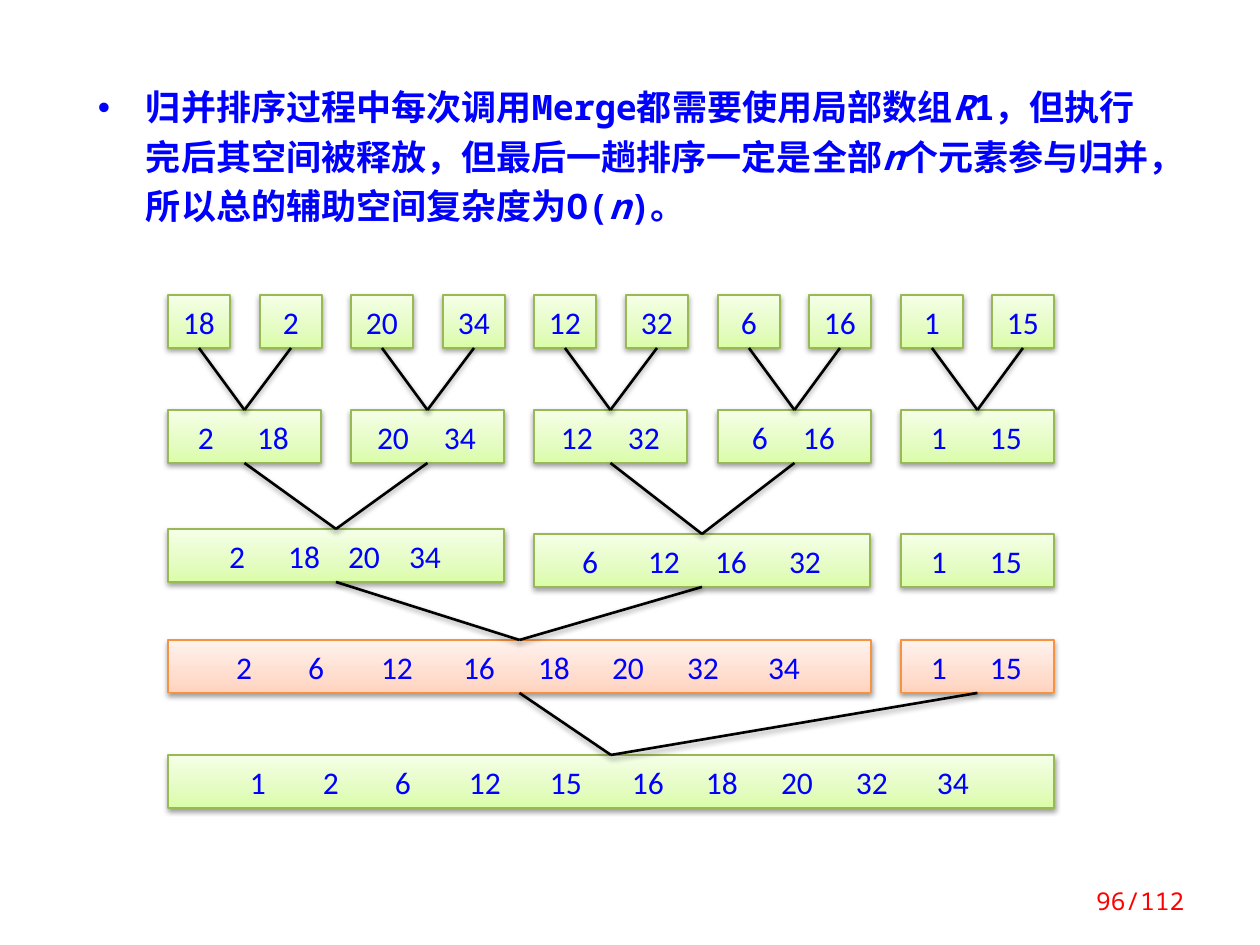
from copy import deepcopy

from lxml import etree
from pptx import Presentation
from pptx import util as u
from pptx.dml.color import RGBColor
from pptx.enum import shapes, text
from pptx.oxml import ns

PX = 914400 // 126
GREEN = (("DAFDA7", "E4FCC2", "F5FFE7"), "98B955")
ORANGE = (("FFD2BD", "FFDED0", "FFF2ED"), "F69240")
LEFT, PITCH, GAP, HEIGHT = 168, 91.6, 30, 53


def color(value):
    return RGBColor.from_string(value)


def add_shadow(properties):
    effects = properties.find(ns.qn("a:effectLst"))
    if effects is None:
        effects = etree.SubElement(properties, ns.qn("a:effectLst"))
    shadow = etree.SubElement(effects, ns.qn("a:outerShdw"), blurRad="40000", dist="20000",
                              dir="5400000", rotWithShape="0")
    black = etree.SubElement(shadow, ns.qn("a:srgbClr"), val="000000")
    etree.SubElement(black, ns.qn("a:alpha"), val="38000")


presentation = Presentation()
presentation.slide_width = 1260 * PX
presentation.slide_height = 945 * PX
slide = presentation.slides.add_slide(presentation.slide_layouts[6])

explanation = slide.shapes.add_textbox(78 * PX, 59 * PX, 1103 * PX, 184 * PX)
explanation.fill.solid()
explanation.fill.fore_color.rgb = color("FFFFFF")
frame = explanation.text_frame
frame.word_wrap = True
frame.auto_size = text.MSO_AUTO_SIZE.SHAPE_TO_FIT_TEXT
frame.margin_left = frame.margin_top = frame.margin_bottom = 20 * PX
paragraph = frame.paragraphs[0]
settings = paragraph._p.get_or_add_pPr()
settings.set("marL", str(48 * PX))
settings.set("indent", str(-48 * PX))
etree.SubElement(settings, ns.qn("a:buFont"), typeface="Arial")
etree.SubElement(settings, ns.qn("a:buChar"), char="•")
paragraph.line_spacing = u.Pt(28)
for wording, italic in [
    ("归并排序过程中每次调用Merge都需要使用局部数组", False),
    ("R", True),
    ("1，但执行完后其空间被释放，但最后一趟排序一定是全部", False),
    ("n", True),
    ("个元素参与归并，所以总的辅助空间复杂度为O(", False),
    ("n", True),
    (")。", False),
]:
    run = paragraph.add_run()
    run.text = wording
    run.font.name = "Noto Sans Mono"
    run.font.size = u.Pt(20)
    run.font.bold = True
    run.font.italic = italic
    run.font.color.rgb = color("0000FF")

values = [18, 2, 20, 34, 12, 32, 6, 16, 1, 15]
passes = [
    [(295, column, 1, [value], [], GREEN) for column, value in enumerate(values)],
    [
        (410, 0, 2, [2, 18], [206, 273], GREEN),
        (410, 2, 2, [20, 34], [393, 460], GREEN),
        (410, 4, 2, [12, 32], [577, 644], GREEN),
        (410, 6, 2, [6, 16], [760, 819], GREEN),
        (410, 8, 2, [1, 15], [939, 1006], GREEN),
    ],
    [
        (529, 0, 4, [2, 18, 20, 34], [237, 304, 364, 425], GREEN),
        (534, 4, 4, [6, 12, 16, 32], [590, 664, 731, 805], GREEN),
        (534, 8, 2, [1, 15], [939, 1006], GREEN),
    ],
    [
        (640, 0, 8, [2, 6, 12, 16, 18, 20, 32, 34],
         [244, 316, 397, 479, 554, 628, 703, 784], ORANGE),
        (640, 8, 2, [1, 15], [939, 1006], ORANGE),
    ],
    [
        (755, 0, 10, [1, 2, 6, 12, 15, 16, 18, 20, 32, 34],
         [258, 331, 403, 485, 566, 648, 722, 797, 872, 953], GREEN),
    ],
]

tree = slide.shapes.add_group_shape()
previous = {}
for merge_pass in passes:
    current = {}
    for top, column, span, numbers, centres, (gradient, outline) in merge_pass:
        left = round(LEFT + PITCH * column)
        width = round(PITCH * span - GAP)
        box = tree.shapes.add_shape(shapes.MSO_SHAPE.RECTANGLE, left * PX, top * PX,
                                    width * PX, HEIGHT * PX)
        current[column] = box
        box.fill.gradient()
        box.fill.gradient_angle = 90
        stops = box._element.spPr.find(ns.qn("a:gradFill")).find(ns.qn("a:gsLst"))
        stops.append(deepcopy(stops[-1]))
        for stop, position, shade in zip(box.fill.gradient_stops, (0, 0.35, 1), gradient):
            stop.position = position
            stop.color.rgb = color(shade)
        box.line.color.rgb = color(outline)
        box.line.width = u.Pt(0.75)
        box.shadow.inherit = False
        add_shadow(box._element.spPr)

        frame = box.text_frame
        frame.margin_left = frame.margin_right = 0
        frame.vertical_anchor = text.MSO_ANCHOR.MIDDLE
        paragraph = frame.paragraphs[0]
        if centres:
            paragraph.text = "".join(f"\t{number}" for number in numbers)
            paragraph.alignment = text.PP_ALIGN.LEFT
            tabs = etree.SubElement(paragraph._p.get_or_add_pPr(), ns.qn("a:tabLst"))
            for centre in centres:
                etree.SubElement(tabs, ns.qn("a:tab"), pos=str((centre - left) * PX), algn="ctr")
        else:
            paragraph.text = str(numbers[0])
            paragraph.alignment = text.PP_ALIGN.CENTER
        paragraph.line_spacing = u.Pt(22)
        font = paragraph.runs[0].font
        font.name = "Calibri"
        font.size = u.Pt(18)
        font.color.rgb = color("0000FF")

        sources = [previous[key] for key in previous if column <= key < column + span]
        if len(sources) > 1:
            for source in sources:
                connector = tree.shapes.add_connector(shapes.MSO_CONNECTOR.STRAIGHT, 0, 0, 0, 0)
                connector.begin_connect(source, 2)
                connector.end_connect(box, 0)
                connector.line.color.rgb = color("000000")
                connector.line.width = u.Pt(1.5)
                add_shadow(connector._element.spPr)
    previous = current

page_number = slide.shapes.add_textbox(1043 * PX, 876 * PX, 154 * PX, 50 * PX)
frame = page_number.text_frame
frame.word_wrap = True
frame.vertical_anchor = text.MSO_ANCHOR.MIDDLE
frame.text = "96/112"
paragraph = frame.paragraphs[0]
paragraph.alignment = text.PP_ALIGN.RIGHT
font = paragraph.runs[0].font
font.name = "Noto Sans Mono"
font.size = u.Pt(14)
font.color.rgb = color("FF0000")

presentation.save("out.pptx")
